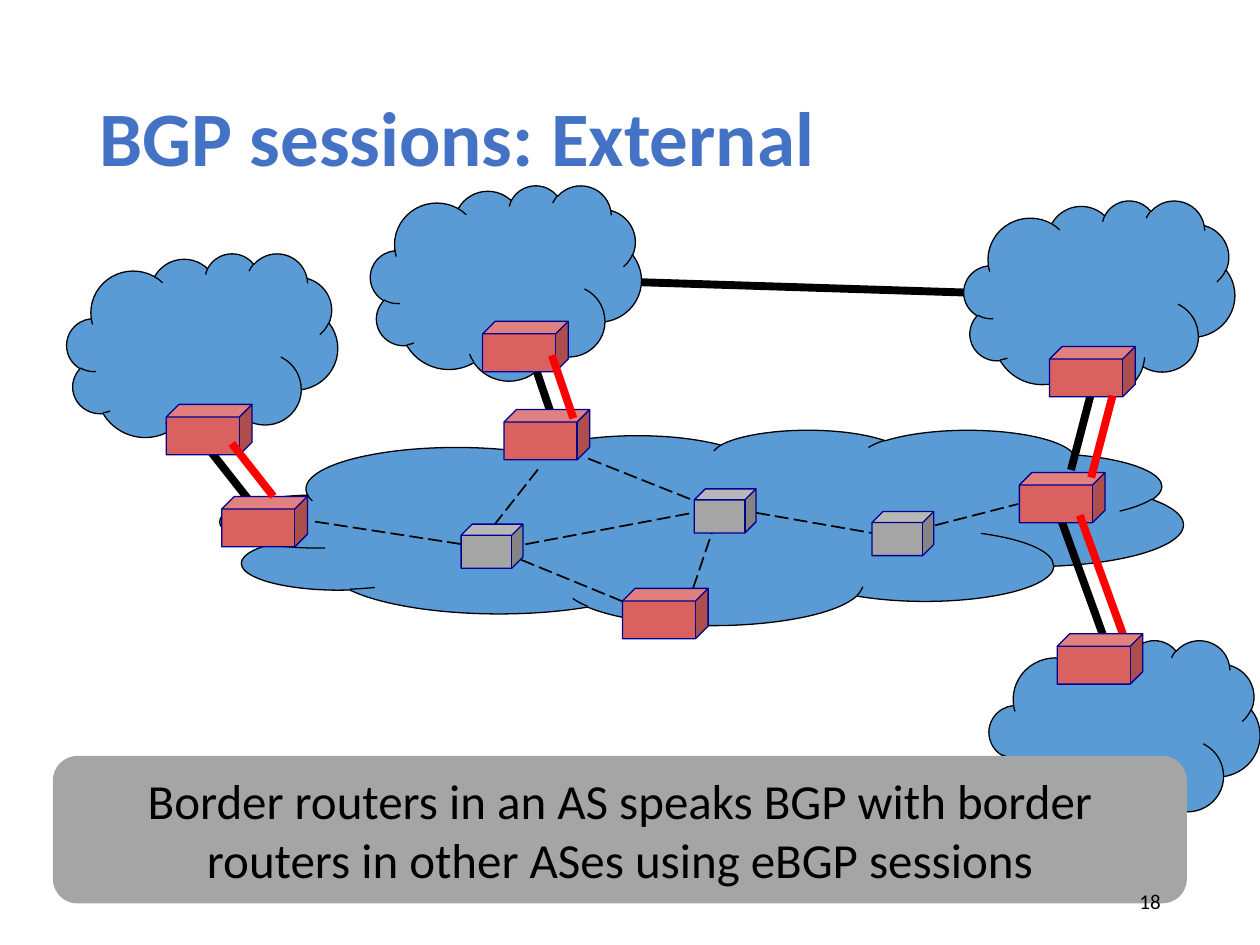
from lxml import etree
from pptx import Presentation
from pptx.dml.color import RGBColor
from pptx.enum.dml import MSO_LINE
from pptx.enum.shapes import MSO_CONNECTOR, MSO_SHAPE
from pptx.enum.text import MSO_ANCHOR, PP_ALIGN
from pptx.oxml.ns import qn
from pptx.util import Inches, Pt

CLOUD, CUBE, ROUNDED = MSO_SHAPE.CLOUD, MSO_SHAPE.CUBE, MSO_SHAPE.ROUNDED_RECTANGLE
STRAIGHT, LONG_DASH = MSO_CONNECTOR.STRAIGHT, MSO_LINE.LONG_DASH
LEFT, CENTER, RIGHT = PP_ALIGN.LEFT, PP_ALIGN.CENTER, PP_ALIGN.RIGHT
MIDDLE = MSO_ANCHOR.MIDDLE

BLACK, RED, NAVY = "000000", "FF0000", "000090"
SKY, TITLE_BLUE, ROSE, GRAY = "5B9BD5", "4472C4", "D9615F", "A5A5A5"

# The grid has 100 columns and 75 rows; boxes are (left, top, width, height)
COLUMNS, ROWS = 100, 75
AS_SIZE = (21.5, 15.5)
BORDER_SIZE = (6.8, 4)
CORE_SIZE = (4.9, 3.5)

CORE_CLOUD = (17.5, 34.1, 76.4, 15.5)
AS_CLOUDS = [(5.3, 20.1), (29.4, 14.7), (76.5, 15.9), (78.5, 50.8)]
BORDER_ROUTERS = [
    (40, 32.5), (80.9, 37.5), (17.6, 39.4), (49.4, 46.7),
    (13.2, 32.1), (38.3, 25.5), (83.3, 27.5),
]
FRONT_ROUTER = (83.9, 50.3)
CORE_ROUTERS = [(36.6, 41.6), (55.1, 38.8), (69.2, 40.6)]

# Each external link: start, end, and the shift of its eBGP session
PEER_LINK = ((50.8, 22.4), (79.2, 23.3))
EXTERNAL_LINKS = [
    ((16.7, 35.8), (20, 40), (1.7, -0.6)),
    ((42.5, 29.2), (44.2, 34.2), (1.3, -1)),
    ((86.7, 30.8), (85, 37.3), (1.6, 0.6)),
    ((88.3, 52.5), (84.2, 41.2), (1.5, -0.3)),
]
INTERNAL_LINKS = [
    ((25, 41.4), (36.7, 43.2)), ((39.2, 41.7), (42.9, 37)),
    ((41.7, 43.2), (55, 40.7)), ((55, 46.7), (56.7, 41.7)),
    ((74.2, 41.7), (80.8, 40)), ((50.8, 48.3), (40.8, 44.2)),
    ((60, 40.7), (69.2, 42.3)), ((46.7, 36.4), (55, 39.7)),
]


def color(value):
    return RGBColor.from_string(value)


def apply(target, values):
    for name, value in values.items():
        setattr(target, name, value)


class Painter:
    font = "Calibri"
    outline = 0.75

    def __init__(self, deck):
        self.page = deck.slides.add_slide(deck.slide_layouts[6])
        self.column = deck.slide_width / COLUMNS
        self.row = deck.slide_height / ROWS

    def place(self, *lengths):
        """Turn alternating column and row counts into lengths."""
        units = (self.column, self.row) * 2
        return [round(count * unit) for count, unit in zip(lengths, units)]

    def shape(self, kind, area, fill, line=None):
        shape = self.page.shapes.add_shape(kind, *self.place(*area))
        shape.shadow.inherit = False
        shape.fill.solid()
        shape.fill.fore_color.rgb = color(fill)
        if line:
            shape.line.color.rgb = color(line)
            shape.line.width = Pt(self.outline)
        else:
            shape.line.fill.background()
        return shape

    def link(self, start, end, hue=BLACK, width=4.5, dash=None):
        line = self.page.shapes.add_connector(STRAIGHT, *self.place(*start, *end))
        etree.SubElement(line._element.spPr, qn("a:effectLst"))
        line.line.color.rgb = color(hue)
        apply(line.line, {"width": Pt(width), "dash_style": dash})

    def label(self, box, text, size, hue=BLACK, align=LEFT, bold=False, spacing=1.0):
        apply(box.text_frame, {"word_wrap": True, "vertical_anchor": MIDDLE})
        para = box.text_frame.paragraphs[0]
        apply(para, {"alignment": align, "line_spacing": spacing})
        span = para.add_run()
        span.text = text
        apply(span.font, {"name": self.font, "size": Pt(size), "bold": bold})
        span.font.color.rgb = color(hue)

    def text(self, area, text, size, **style):
        box = self.page.shapes.add_textbox(*self.place(*area))
        self.label(box, text, size, **style)


def main():
    deck = Presentation()
    deck.slide_width, deck.slide_height = Inches(10), Inches(7.5)
    painter = Painter(deck)

    # Central network, title and links
    painter.shape(CLOUD, CORE_CLOUD, SKY, BLACK)
    painter.text((6.9, 4, 86.2, 14.5), "BGP sessions: External", 44,
                 hue=TITLE_BLUE, bold=True, spacing=0.9)
    painter.link(*PEER_LINK)
    for start, end, _ in EXTERNAL_LINKS:
        painter.link(start, end)
    for start, end in INTERNAL_LINKS:
        painter.link(start, end, width=1, dash=LONG_DASH)

    # Neighbouring networks and routers
    for corner in AS_CLOUDS:
        painter.shape(CLOUD, corner + AS_SIZE, SKY, BLACK)
    for corner in BORDER_ROUTERS:
        painter.shape(CUBE, corner + BORDER_SIZE, ROSE, NAVY)
    for corner in CORE_ROUTERS:
        painter.shape(CUBE, corner + CORE_SIZE, GRAY, NAVY)

    # eBGP sessions beside the external links
    for start, end, (across, down) in EXTERNAL_LINKS:
        painter.link(*((x + across, y + down) for x, y in (start, end)), hue=RED)
    painter.shape(CUBE, FRONT_ROUTER + BORDER_SIZE, ROSE, NAVY)

    # Takeaway and page number
    takeaway = painter.shape(ROUNDED, (4.2, 60, 90, 11.7), GRAY)
    painter.label(takeaway, "Border routers in an AS speaks BGP with border "
                  "routers in other ASes using eBGP sessions", 28, align=CENTER)
    painter.text((70.6, 69.5, 22.5, 4), "18", 12, align=RIGHT)

    deck.save("out.pptx")


if __name__ == "__main__":
    main()
